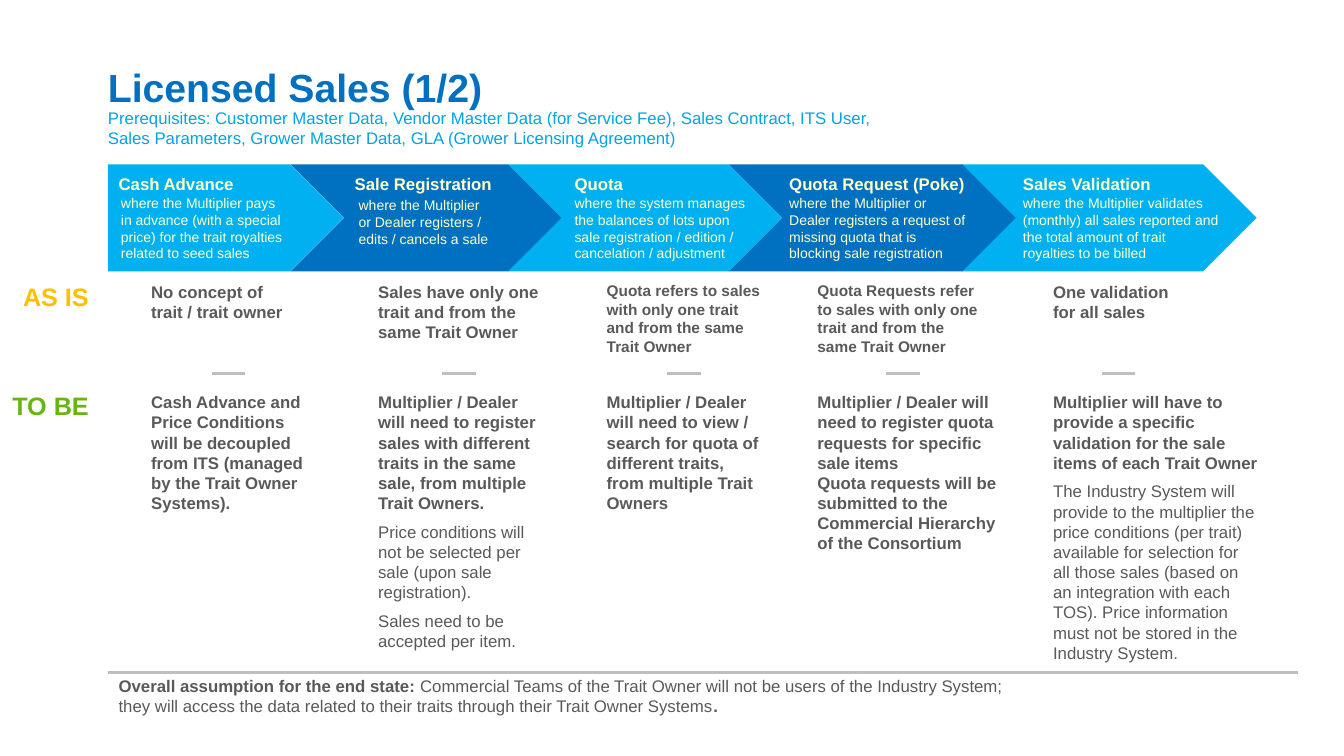
"""Build the Licensed Sales process slide with its AS IS and TO BE columns."""
from lxml import etree
from pptx import Presentation
from pptx.dml.color import RGBColor
from pptx.enum import shapes, text
from pptx.oxml import ns
from pptx.util import Cm, Pt

LIGHT_BLUE = RGBColor(0x00, 0xB0, 0xF0)
DARK_BLUE = RGBColor(0x00, 0x70, 0xC0)
SUBTITLE_BLUE = RGBColor(0x00, 0xA5, 0xE2)
CREAM = RGBColor(0xFF, 0xFF, 0xCC)
GREY = RGBColor(0x59, 0x59, 0x59)
LINE_GREY = RGBColor(0xBF, 0xBF, 0xBF)
AMBER = RGBColor(0xFF, 0xC0, 0x00)
GREEN = RGBColor(0x66, 0xB5, 0x12)

presentation = Presentation()
presentation.slide_width, presentation.slide_height = Cm(33.87), Cm(19.05)
slide = presentation.slides.add_slide(presentation.slide_layouts[0])


def write(shape, box, paragraphs, size, color, align=text.PP_ALIGN.LEFT, anchor=text.MSO_ANCHOR.TOP):
    """Place a text shape and fill it; each paragraph is a list of (text, bold) runs."""
    for name, value in zip(("left", "top", "width", "height"), box):
        setattr(shape, name, Cm(value))
    frame = shape.text_frame
    frame_format = {"margin_left": 0, "margin_top": 0, "margin_right": 0, "margin_bottom": 0,
                    "word_wrap": True, "auto_size": text.MSO_AUTO_SIZE.NONE, "vertical_anchor": anchor}
    for name, value in frame_format.items():
        setattr(frame, name, value)
    for index, runs in enumerate(paragraphs):
        paragraph = frame.add_paragraph() if index else frame.paragraphs[0]
        paragraph_format = {"alignment": align, "space_before": Pt(0), "space_after": Pt(6)}
        for name, value in paragraph_format.items():
            setattr(paragraph, name, value)
        for content, bold in runs:
            for line_index, line in enumerate(content.split("\n")):
                if line_index:
                    paragraph.add_line_break()
                run = paragraph.add_run()
                run.text = line
                for name, value in {"name": "Arial", "size": Pt(size), "bold": bold}.items():
                    setattr(run.font, name, value)
                run.font.color.rgb = color


def add_rule(left, top, width):
    """Draw a grey horizontal line."""
    rule = slide.shapes.add_connector(shapes.MSO_CONNECTOR.STRAIGHT, Cm(left), Cm(top), Cm(left + width), Cm(top))
    rule.line.color.rgb = LINE_GREY
    rule.line.width = Pt(2.25)
    etree.SubElement(rule._element.spPr, ns.qn("a:effectLst"))


write(slide.shapes.title, (2.72, 0.38, 30, 2.39), [[("Licensed Sales (1/2)", True)]], 28, DARK_BLUE,
      anchor=text.MSO_ANCHOR.BOTTOM)
write(slide.placeholders[1], (2.72, 2.72, 19.3, 0.71),
      [[("Prerequisites: Customer Master Data, Vendor Master Data (for Service Fee), Sales Contract, "
         "ITS User, Sales Parameters, Grower Master Data, GLA (Grower Licensing Agreement)", False)]],
      12, SUBTITLE_BLUE)

steps = [
    {"arrow": (2.72, 5.94), "head": (2.99, 4.5), "about": (3.05, 4.9, 4.14), "notes": (3.81, 3.91, 3.91),
     "dash": 5.33, "as_is_size": 12, "title": "Cash Advance",
     "description": "where the Multiplier pays in advance (with a special price) for the trait royalties "
                    "related to seed sales",
     "as_is": "No concept of trait / trait owner",
     "to_be": ["Cash Advance and Price Conditions will be decoupled from ITS (managed by the Trait Owner "
               "Systems)."]},
    {"arrow": (7.32, 6.83), "head": (8.94, 3.78), "about": (9.04, 4.95, 3.43), "notes": (9.53, 4.09, 4.09),
     "dash": 11.15, "as_is_size": 12, "title": "Sale Registration",
     "description": "where the Multiplier or Dealer registers / edits / cancels a sale",
     "as_is": "Sales have only one trait and from the same Trait Owner",
     "to_be": ["Multiplier / Dealer will need to register sales with different traits in the same sale, "
               "from multiple Trait Owners.",
               "Price conditions will not be selected per sale (upon sale registration).",
               "Sales need to be accepted per item."]},
    {"arrow": (12.8, 6.91), "head": (14.48, 2.9), "about": (14.48, 4.9, 4.45), "notes": (15.29, 3.91, 3.91),
     "dash": 16.82, "as_is_size": 11, "title": "Quota",
     "description": "where the system manages the balances of lots upon sale registration / edition / "
                    "cancelation / adjustment",
     "as_is": "Quota refers to sales with only one trait and from the same Trait Owner",
     "to_be": ["Multiplier / Dealer will need to view / search for quota of different traits, from multiple "
               "Trait Owners"]},
    {"arrow": (18.36, 7.24), "head": (19.89, 4.98), "about": (19.89, 4.9, 4.52), "notes": (20.6, 4.29, 4.95),
     "dash": 22.33, "as_is_size": 11, "title": "Quota Request (Poke)",
     "description": "where the Multiplier or Dealer registers a request of missing quota that is blocking "
                    "sale registration",
     "as_is": "Quota Requests refer to sales with only one trait and from the same Trait Owner",
     "to_be": ["Multiplier / Dealer will need to register quota requests for specific sale items\n"
               "Quota requests will be submitted to the Commercial Hierarchy of the Consortium"]},
    {"arrow": (24.23, 7.44), "head": (25.78, 3.63), "about": (25.78, 4.9, 4.98), "notes": (26.54, 3.33, 5.21),
     "dash": 27.76, "as_is_size": 12, "title": "Sales Validation",
     "description": "where the Multiplier validates (monthly) all sales reported and the total amount of "
                    "trait royalties to be billed",
     "as_is": "One validation for all sales",
     "to_be": ["Multiplier will have to provide a specific validation for the sale items of each Trait Owner",
               "The Industry System will provide to the multiplier the price conditions (per trait) available "
               "for selection for all those sales (based on an integration with each TOS). Price information "
               "must not be stored in the Industry System."]},
]

for index, step in reversed(list(enumerate(steps))):
    left, width = step["arrow"]
    kind = shapes.MSO_SHAPE.CHEVRON if index else shapes.MSO_SHAPE.PENTAGON
    arrow = slide.shapes.add_shape(kind, Cm(left), Cm(4.14), Cm(width), Cm(2.7))
    arrow.shadow.inherit = False
    arrow.fill.solid()
    arrow.fill.fore_color.rgb = DARK_BLUE if index % 2 else LIGHT_BLUE
    arrow.line.fill.background()

for step in steps:
    head_left, head_width = step["head"]
    about_left, about_top, about_width = step["about"]
    notes_left, as_is_width, to_be_width = step["notes"]
    to_be = [[(content, index == 0)] for index, content in enumerate(step["to_be"])]
    for box, paragraphs, size, color in [
        ((head_left, 4.37, head_width, 0.6), [[(step["title"], True)]], 12, CREAM),
        ((about_left, about_top, about_width, 0.71), [[(step["description"], False)]], 10, CREAM),
        ((notes_left, 7.09, as_is_width, 1.4), [[(step["as_is"], True)]], step["as_is_size"], GREY),
        ((notes_left, 9.88, to_be_width, 1.4), to_be, 12, GREY),
    ]:
        write(slide.shapes.add_textbox(0, 0, 0, 0), box, paragraphs, size, color)
    add_rule(step["dash"], 9.42, 0.85)

for label, top, color in [("AS IS", 7.09, AMBER), ("TO BE", 9.83, GREEN)]:
    write(slide.shapes.add_textbox(0, 0, 0, 0), (0.08, top, 2.16, 0.71), [[(label, True)]], 18, color,
          align=text.PP_ALIGN.RIGHT)

add_rule(2.72, 16.94, 30)
write(slide.shapes.add_textbox(0, 0, 0, 0), (2.99, 17.02, 22.4, 0.99),
      [[("Overall assumption for the end state: ", True),
        ("Commercial Teams of the Trait Owner will not be users of the Industry System; they will access "
         "the data related to their traits through their Trait Owner Systems", False),
        (".", True)]], 12, GREY)

presentation.save("out.pptx")
